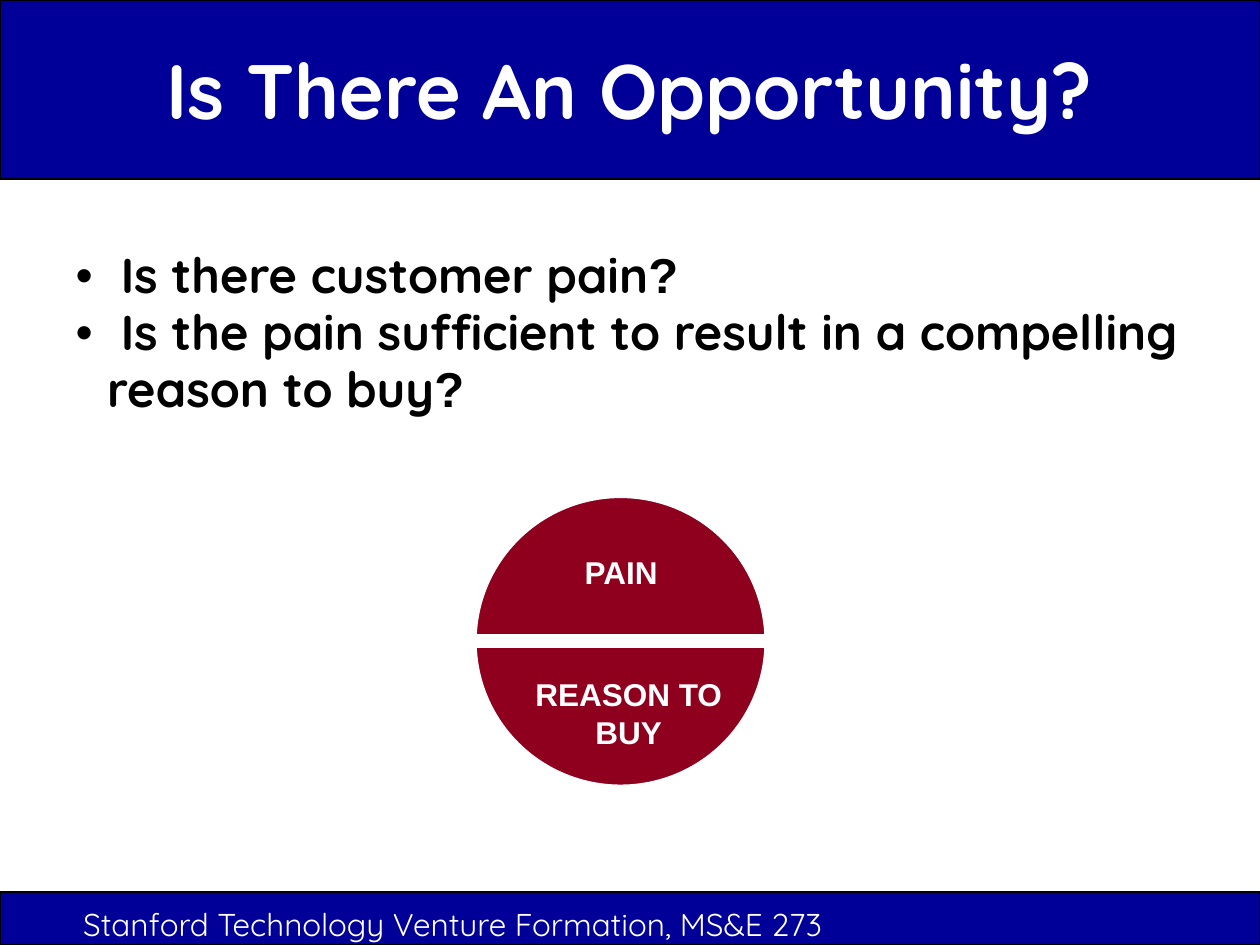
from lxml.etree import SubElement
from pptx import Presentation
from pptx.dml.color import RGBColor
from pptx.enum.shapes import MSO_CONNECTOR as Connector, MSO_SHAPE as Shape
from pptx.enum.text import MSO_ANCHOR as Anchor, MSO_AUTO_SIZE as AutoSize, PP_ALIGN as Align
from pptx.oxml.ns import qn
from pptx.util import Inches, Pt

NAVY = RGBColor(0x00, 0x00, 0x99)
CRIMSON = RGBColor(0x8E, 0x00, 0x1D)
WHITE = RGBColor(0xFF, 0xFF, 0xFF)
BLACK = RGBColor(0x00, 0x00, 0x00)
BRAND_FONT, PLAIN_FONT = "Quicksand", "Arial"
QUESTIONS = (
    " Is there customer pain",
    " Is the pain sufficient to result in a compelling reason to buy",
)


def inches(*lengths):
    """Turn plain numbers into lengths in inches."""
    return [Inches(length) for length in lengths]


def set_font(font, name, size, color, bold=True):
    """Set the face, size, colour and weight of a font."""
    font.name, font.size, font.bold = name, Pt(size), bold
    font.color.rgb = color


def draw_shape(shapes, kind, box, fill, line, width):
    """Draw a filled and outlined preset shape in a box."""
    shape = shapes.add_shape(kind, *inches(*box))
    shape.shadow.inherit = False
    shape.fill.solid()
    shape.fill.fore_color.rgb = fill
    shape.line.color.rgb = line
    shape.line.width = Pt(width)


def place_placeholder(holder, box, anchor):
    """Move a placeholder to a box, in front of what is drawn so far."""
    holder.left, holder.top, holder.width, holder.height = inches(*box)
    holder.element.getparent().append(holder.element)
    frame = holder.text_frame
    frame.word_wrap, frame.auto_size = True, AutoSize.NONE
    frame.vertical_anchor = anchor
    return frame


def add_header(page, box):
    """Draw the top band and set the title on it."""
    left, top, width, height = box
    draw_shape(page.shapes, Shape.RECTANGLE, box, NAVY, BLACK, 0.75)
    title_box = left, top + 0.08, width, height - 0.17
    frame = place_placeholder(page.shapes.title, title_box, Anchor.MIDDLE)
    frame.text = "Is There An Opportunity?"
    para = frame.paragraphs[0]
    para.alignment = Align.CENTER
    set_font(para.font, BRAND_FONT, 44, WHITE)


def add_footer(page, box):
    """Draw the bottom band with the course name."""
    left, top, width, height = box
    draw_shape(page.shapes, Shape.RECTANGLE, box, NAVY, BLACK, 0.75)
    label = page.shapes.add_textbox(*inches(left + 0.5, top, 8.42, 0.5))
    frame = label.text_frame
    frame.word_wrap, frame.vertical_anchor = True, Anchor.MIDDLE
    frame.margin_left = Inches(0.16)
    frame.text = "Stanford Technology Venture Formation, MS&E 273"
    set_font(frame.paragraphs[0].font, BRAND_FONT, 18, WHITE, bold=False)


def add_questions(page, box):
    """Fill the body placeholder with the bulleted questions."""
    frame = place_placeholder(page.placeholders[1], box, Anchor.TOP)
    for index, question in enumerate(QUESTIONS):
        para = frame.add_paragraph() if index else frame.paragraphs[0]
        para.space_before, para.line_spacing = Pt(0), 0.97
        props = para._p.get_or_add_pPr()
        props.set("marL", str(Inches(0.25)))
        props.set("indent", str(-Inches(0.25)))
        SubElement(props, qn("a:buFont"), typeface=PLAIN_FONT)
        SubElement(props, qn("a:buChar"), char="•")
        for text, face in ((question, BRAND_FONT), ("?", PLAIN_FONT)):
            span = para.add_run()
            span.text = text
            set_font(span.font, face, 28, BLACK)


def add_label(shapes, text, box):
    """Write a centred white label in a box."""
    frame = shapes.add_textbox(*inches(*box)).text_frame
    frame.word_wrap = True
    frame.text = text
    para = frame.paragraphs[0]
    para.alignment = Align.CENTER
    set_font(para.font, PLAIN_FONT, 18, WHITE)


def add_split_circle(page, box):
    """Draw the circle cut into pain and reason to buy."""
    left, top, width, height = box
    shapes = page.shapes.add_group_shape().shapes
    draw_shape(shapes, Shape.OVAL, box, CRIMSON, WHITE, 12)
    middle = top + height / 2
    ends = inches(left + 0.06, middle, left + width - 0.05, middle)
    divider = shapes.add_connector(Connector.STRAIGHT, *ends)
    divider.line.color.rgb = WHITE
    divider.line.width = Pt(8)
    SubElement(divider.element.spPr, qn("a:effectLst"))
    add_label(shapes, "PAIN", (left + 0.4, top + 0.47, 1.66, 0.4))
    add_label(shapes, "REASON TO BUY", (left + 0.35, top + 1.44, 1.88, 0.7))


def main():
    """Build the slide and save the deck."""
    deck = Presentation()
    deck.slide_width, deck.slide_height = inches(10, 7.5)
    page = deck.slides.add_slide(deck.slide_layouts[1])
    add_footer(page, (0, 7.08, 10, 0.42))
    add_header(page, (0, 0, 10, 1.42))
    add_questions(page, (0.5, 1.92, 9.25, 1.5))
    add_split_circle(page, (3.7, 3.87, 2.45, 2.44))
    deck.save("out.pptx")


if __name__ == "__main__":
    main()
